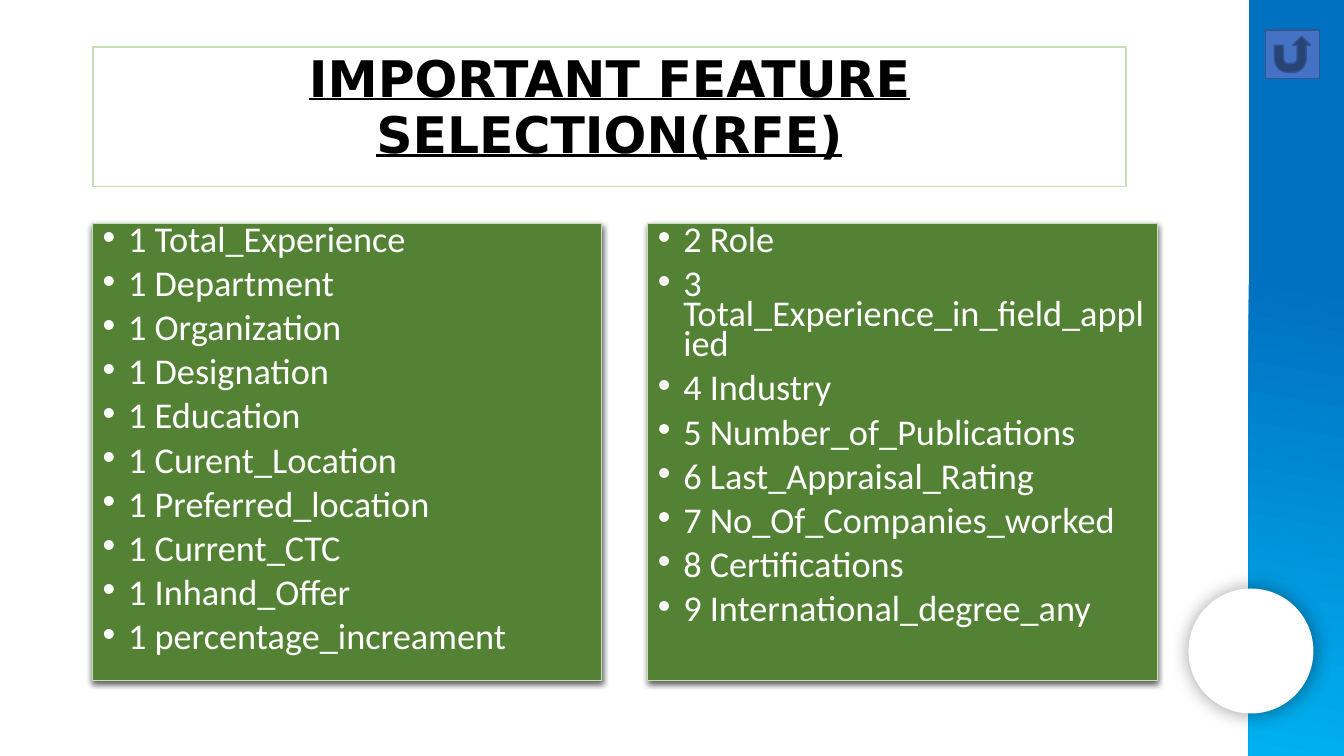
"""Build the feature selection slide with two ranked lists."""
from lxml import etree
from pptx import Presentation
from pptx.dml.color import RGBColor as RGB
from pptx.enum.shapes import MSO_SHAPE as SHAPE
from pptx.enum.text import MSO_ANCHOR as ANCHOR, PP_ALIGN as ALIGN
from pptx.oxml.ns import qn
from pptx.util import Cm, Pt

COLORS = {
    "white": "FFFFFF", "black": "000000",
    "band_top": "0070C0", "band_bottom": "00B0F0",
    "green": "548235", "pale_green": "C5E0B4",
    "button": "4472C4", "button_line": "325491",
}
TITLE_FONT = {"name": "DejaVu Sans", "size": Pt(36), "bold": True, "underline": True}
LIST_FONT = {"name": "Calibri", "size": Pt(25.9)}
LIST_PARAGRAPH = {"alignment": ALIGN.LEFT, "line_spacing": 0.69, "space_before": Pt(10)}
LISTS = [
    ["1 Total_Experience", "1 Department", "1 Organization", "1 Designation",
     "1 Education", "1 Curent_Location", "1 Preferred_location",
     "1 Current_CTC", "1 Inhand_Offer", "1 percentage_increament"],
    ["2 Role", "3 Total_Experience_in_field_applied", "4 Industry",
     "5 Number_of_Publications", "6 Last_Appraisal_Rating",
     "7 No_Of_Companies_worked", "8 Certifications",
     "9 International_degree_any"],
]

prs = Presentation()
prs.slide_width, prs.slide_height = Cm(33.87), Cm(19.05)
s = prs.slides.add_slide(prs.slide_layouts[6])


def add_box(kind, box, fill, line=None, width=1, shadow=None):
    sp = s.shapes.add_shape(kind, *[Cm(v) for v in box])
    sp.shadow.inherit = False
    sp.fill.solid()
    sp.fill.fore_color.rgb = RGB.from_string(COLORS[fill])
    if line:
        sp.line.color.rgb = RGB.from_string(COLORS[line])
        sp.line.width = Pt(width)
    else:
        sp.line.fill.background()
    if shadow:
        alpha, blur, dist, angle = shadow
        effects = sp._element.spPr.find(qn("a:effectLst"))
        outer = etree.SubElement(
            effects, qn("a:outerShdw"), blurRad=str(Pt(blur)), dist=str(Pt(dist)),
            dir=str(angle * 60000), algn="ctr", rotWithShape="0")
        color = etree.SubElement(outer, qn("a:srgbClr"), val=COLORS["black"])
        etree.SubElement(color, qn("a:alpha"), val=str(alpha * 1000))
    sp.text_frame.word_wrap = True
    sp.text_frame.vertical_anchor = ANCHOR.TOP
    return sp


def add_run(p, text, font, color):
    r = p.add_run()
    r.text = text
    for name, value in font.items():
        setattr(r.font, name, value)
    r.font.color.rgb = RGB.from_string(COLORS[color])


band = add_box(SHAPE.RECTANGLE, (31.47, 0, 2.4, 19.05), "band_top")
band.fill.gradient()
band.fill.gradient_angle = 260
for stop, color, position in zip(band.fill.gradient_stops,
                                 ("band_top", "band_bottom"), (0.37, 1)):
    stop.color.rgb = RGB.from_string(COLORS[color])
    stop.position = position

add_box(SHAPE.OVAL, (29.95, 14.83, 3.15, 3.15), "white", shadow=(40, 14, 1, 43))

title = add_box(SHAPE.RECTANGLE, (2.34, 1.19, 26.04, 3.51), "white", "pale_green")
p = title.text_frame.paragraphs[0]
p.alignment = ALIGN.CENTER
p.line_spacing = 0.93
add_run(p, "IMPORTANT FEATURE SELECTION(RFE)", TITLE_FONT, "black")

for column, items in enumerate(LISTS):
    panel = add_box(SHAPE.RECTANGLE, (2.34 + 13.99 * column, 5.64, 12.83, 11.51),
                    "green", "pale_green", 0.75, (63, 4.5, 1.5, 90))
    tf = panel.text_frame
    for i, item in enumerate(items):
        p = tf.add_paragraph() if i else tf.paragraphs[0]
        for name, value in LIST_PARAGRAPH.items():
            setattr(p, name, value)
        pPr = p._p.get_or_add_pPr()
        pPr.set("marL", str(Cm(0.64)))
        pPr.set("indent", str(-Cm(0.64)))
        etree.SubElement(pPr, qn("a:buFont"), typeface="Arial")
        etree.SubElement(pPr, qn("a:buChar"), char="•")
        add_run(p, item, LIST_FONT, "white")

add_box(SHAPE.ACTION_BUTTON_RETURN, (31.9, 0.76, 1.35, 1.22), "button", "button_line")

prs.save("out.pptx")
